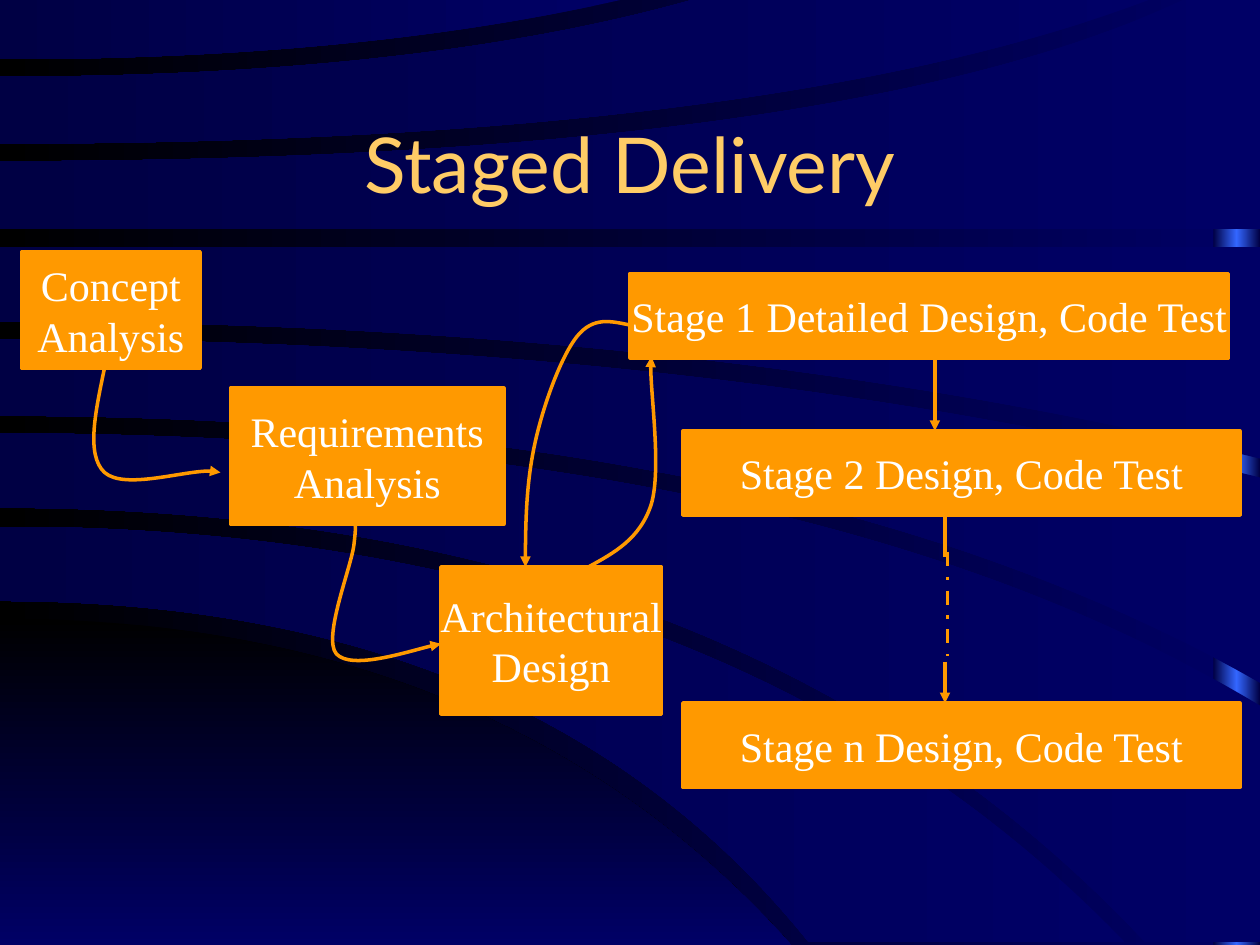
from copy import deepcopy

from lxml import etree
from pptx import Presentation
from pptx import util as u
from pptx.dml import color
from pptx.enum import dml, shapes, text
from pptx.oxml import ns

COLORS = {"navy": "000066", "dusk": "000044", "black": "000000", "glow": "3366FF",
          "orange": "FF9900", "gold": "FFCC66", "white": "FFFFFF"}
TITLE_FONT = {"name": "Lato", "size": u.Pt(44)}
BOX_FONT = {"name": "Times New Roman", "size": u.Pt(24)}
FRAME = {"margin_left": u.Inches(0.1), "margin_right": u.Inches(0.1),
         "margin_top": u.Inches(0.05), "margin_bottom": u.Inches(0.05),
         "vertical_anchor": text.MSO_ANCHOR.MIDDLE}
SEGMENTS = {"L": ("a:lnTo", 1), "Q": ("a:quadBezTo", 2), "C": ("a:cubicBezTo", 3)}

# Sweeps: upper and lower edge, each as start y, bend x, end x, end y
FLOOR = ((4.91, 3.97, 6.28, 7.5), (7.5, 3, 6.28, 7.5))
BANDS = [
    ((4.18, 5.75, 8.93, 7.48), (4.77, 4.25, 6.42, 7.48)),
    ((3.44, 6.4, 10, 5.6), (4.03, 5.87, 9.09, 7.48)),
    ((2.69, 5.54, 10, 3.79), (3.3, 6.3, 10, 5.42)),
    ((1.96, 5, 10, 1.96), (2.55, 5.6, 10, 3.64)),
    ((1.28, 6.73, 9.43, -0.02), (1.82, 5, 10, 1.82)),
    ((0.61, 3.38, 5.56, -0.02), (1.14, 6.15, 9.17, -0.02)),
    ((-0.02, 2.5, 5.01, -0.02), (0.47, 2.9, 5.01, -0.02)),
]


def rgb(name):
    return color.RGBColor.from_string(COLORS[name])


def apply(target, values):
    for key, value in values.items():
        setattr(target, key, value)


def paint_gradient(fill, names, angle=180):
    for stop, name in zip(fill.gradient_stops, names):
        stop.color.rgb = rgb(name)
    fill.gradient_angle = angle


def outline(slide, box, points, kinds, close):
    """Outline whose segments are lines (L), quadratic (Q) or cubic (C) curves."""
    left, top = box[:2]
    spots = [(u.Inches(left + x), u.Inches(top + y)) for x, y in points]
    builder = slide.shapes.build_freeform(*spots[0])
    builder.add_line_segments(spots[1:], close=close)
    shape = builder.convert_to_shape()
    shape.shadow.inherit = False
    steps = iter(list(shape.element.iter(ns.qn("a:lnTo"))))
    for kind in kinds:
        tag, count = SEGMENTS[kind]
        segment = next(steps)
        segment.tag = ns.qn(tag)
        for _ in range(count - 1):
            extra = next(steps)
            segment.append(extra[0])
            extra.getparent().remove(extra)
    return shape


def style_line(shape, arrow=True):
    shape.line.color.rgb = rgb("orange")
    shape.line.width = u.Pt(2)
    if arrow:
        etree.SubElement(shape.get_or_add_ln(), ns.qn("a:tailEnd"), type="triangle")


def curve(slide, box, points):
    arrow = outline(slide, box, points, "C" * (len(points) // 3), close=False)
    arrow.fill.background()
    style_line(arrow)


def straight(slide, box, x, y1, y2, arrow=True, dash=None):
    left, top = box[:2]
    link = slide.shapes.add_connector(
        shapes.MSO_CONNECTOR.STRAIGHT, u.Inches(left + x), u.Inches(top + y1),
        u.Inches(left + x), u.Inches(top + y2))
    style_line(link, arrow=False)
    if dash:
        link.line.dash_style = dash
    if arrow:
        style_line(link)
    etree.SubElement(link.element.spPr, ns.qn("a:effectLst"))


def step_box(slide, box, x, y, width, height, lines):
    left, top = box[:2]
    step = slide.shapes.add_shape(
        shapes.MSO_SHAPE.RECTANGLE, u.Inches(left + x), u.Inches(top + y),
        u.Inches(width), u.Inches(height))
    step.shadow.inherit = False
    step.fill.solid()
    step.fill.fore_color.rgb = rgb("orange")
    style_line(step, arrow=False)
    frame = step.text_frame
    apply(frame, FRAME | {"word_wrap": False})
    frame.text = "\n".join(lines)
    for paragraph in frame.paragraphs:
        paragraph.alignment = text.PP_ALIGN.CENTER
        apply(paragraph.font, BOX_FONT)
        paragraph.font.color.rgb = rgb("white")


def draw_sweep(slide, box, edges, names, angle=180):
    (y1, bend1, *end1), (y2, bend2, *end2) = edges
    corner = (max(end1[0], end2[0]), min(end1, end2)[1])
    points = [(0, y1), (bend1, y1), end1, corner, end2, (bend2, y2), (0, y2)]
    sweep = outline(slide, box, points, "QLLQ", close=True)
    sweep.line.fill.background()
    sweep.fill.gradient()
    paint_gradient(sweep.fill, names, angle)


def draw_background(slide, box):
    left, top, width, height = box
    slide.background.fill.gradient()
    paint_gradient(slide.background.fill, ["navy", "black"])
    # Glowing rail on the right edge
    rail = slide.shapes.add_shape(
        shapes.MSO_SHAPE.RECTANGLE, u.Inches(left + width - 0.37), u.Inches(top),
        u.Inches(0.37), u.Inches(height))
    rail.shadow.inherit = False
    rail.line.fill.background()
    rail.fill.gradient()
    stops = next(rail.element.iter(ns.qn("a:gsLst")))
    stops.insert(1, deepcopy(stops[0]))
    stops[1].set("pos", "50000")
    paint_gradient(rail.fill, ["dusk", "glow", "dusk"])
    # Dark floor, then the sweeping bands
    draw_sweep(slide, box, FLOOR, ["black", "navy"], 270)
    for band in BANDS:
        draw_sweep(slide, box, band, ["navy", "dusk"])


def place_title(slide, box):
    title = slide.shapes.title
    title.element.getparent().append(title.element)  # in front of the background
    apply(title, dict(zip(("left", "top", "width", "height"), map(u.Inches, box))))
    apply(title.text_frame, FRAME)
    title.text_frame.text = "Staged Delivery"
    paragraph = title.text_frame.paragraphs[0]
    paragraph.alignment = text.PP_ALIGN.CENTER
    apply(paragraph.font, TITLE_FONT)
    paragraph.font.color.rgb = rgb("gold")


def draw_phases(slide, box):
    step_box(slide, box, 0, 0, 1.42, 0.92, ["Concept", "Analysis"])
    step_box(slide, box, 1.66, 1.08, 2.17, 1.08, ["Requirements", "Analysis"])
    step_box(slide, box, 3.33, 2.5, 1.75, 1.17, ["Architectural", "Design"])
    curve(slide, box, [(0.66, 0.92), (0.59, 1.26), (0.51, 1.61), (0.66, 1.75),
                       (0.82, 1.89), (1.43, 1.69), (1.58, 1.75)])
    curve(slide, box, [(2.64, 2.17), (2.65, 2.16), (2.66, 2.15), (2.64, 2.32),
                       (2.62, 2.5), (2.39, 3.06), (2.5, 3.19),
                       (2.62, 3.32), (3.2, 3.13), (3.33, 3.11)])


def draw_feedback(slide, box):
    curve(slide, box, [(0.5, 2), (0.7, 1.89), (0.91, 1.78), (1, 1.5),
                       (1.08, 1.22), (0.97, 0.46), (1, 0.33)])
    curve(slide, box, [(0.83, 0.08), (0.68, 0.05), (0.54, 0.01), (0.41, 0.17),
                       (0.29, 0.32), (0.15, 0.69), (0.08, 1),
                       (0.01, 1.31), (0, 1.65), (0, 2)])


def draw_stages(slide, box):
    step_box(slide, box, 0, 0, 4.75, 0.67, ["Stage 1 Detailed Design, Code Test"])
    for name, y in (("2", 1.25), ("n", 3.41)):
        step_box(slide, box, 0.42, y, 4.42, 0.67, [f"Stage {name} Design, Code Test"])
    straight(slide, box, 2.42, 0.66, 1.25)
    # Stages left out between 2 and n
    straight(slide, box, 2.5, 1.91, 2.25, arrow=False)
    straight(slide, box, 2.5, 3.08, 3.41)
    straight(slide, box, 2.52, 2.21, 3.04, arrow=False, dash=dml.MSO_LINE.DASH_DOT)


def main():
    deck = Presentation()
    deck.slide_width, deck.slide_height = u.Inches(10), u.Inches(7.5)
    slide = deck.slides.add_slide(deck.slide_layouts[5])
    draw_background(slide, (0, 0, 10, 7.5))
    place_title(slide, (0.75, 0.67, 8.5, 1.25))
    draw_phases(slide, (0.17, 2, 5.08, 3.67))
    draw_feedback(slide, (4.17, 2.5, 1.08, 2))
    draw_stages(slide, (5, 2.17, 4.84, 4.08))
    deck.save("out.pptx")


if __name__ == "__main__":
    main()
